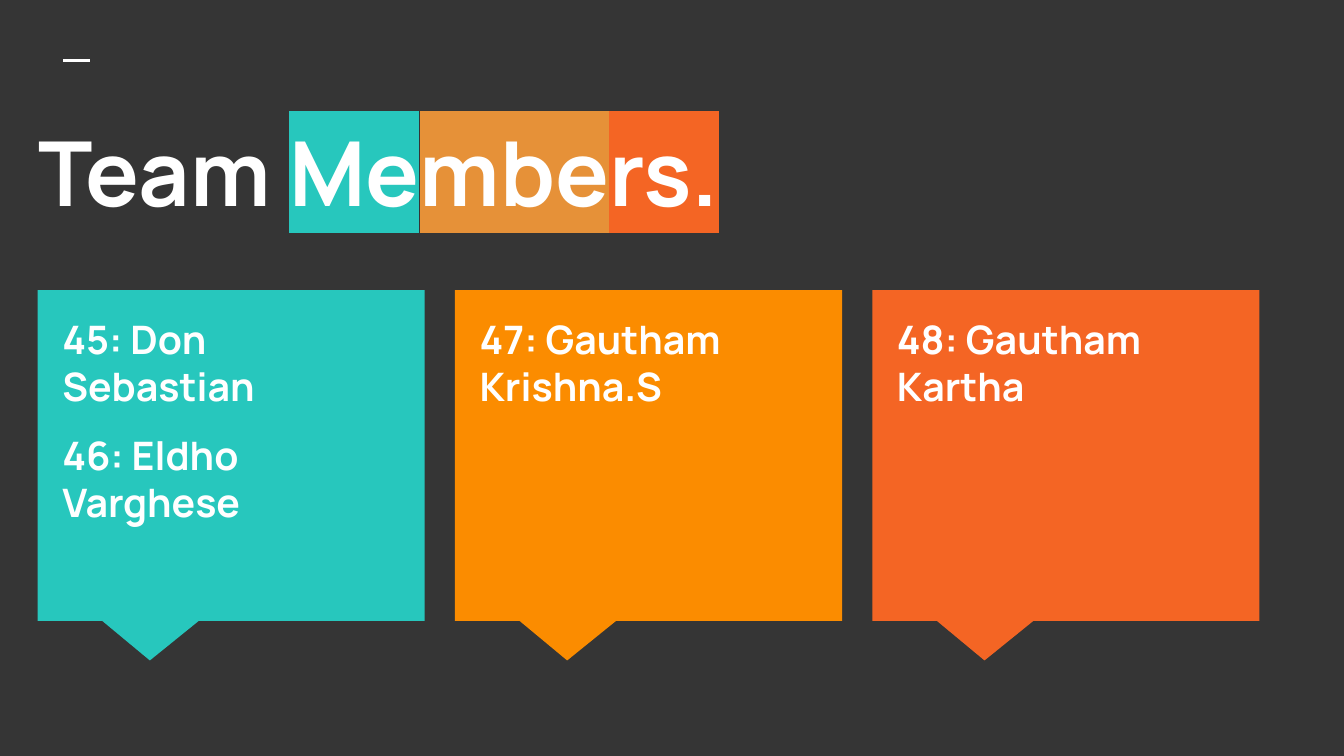
"""Build the team members slide: a highlighted title above three callout cards."""
from dataclasses import dataclass

from lxml.etree import SubElement
from pptx import Presentation
from pptx.dml.color import RGBColor
from pptx.enum.shapes import MSO_CONNECTOR, MSO_SHAPE
from pptx.enum.text import MSO_ANCHOR
from pptx.oxml.ns import qn
from pptx.util import Inches, Pt


@dataclass(frozen=True)
class Theme:
    """Colours, type and sizes used on the slide."""

    background: str = "353535"
    text: str = "FFFFFF"
    teal: str = "27C7BD"
    amber: str = "E69138"
    orange: str = "FB8C00"
    red: str = "F46524"
    font: str = "Manrope"
    title_size: int = 48
    card_size: int = 21
    paragraph_gap: int = 12


@dataclass(frozen=True)
class Grid:
    """Card columns and the text area inside each card, in inches."""

    left: float = 0.28
    last: float = 6.49
    columns: int = 3
    top: float = 2.16
    width: float = 2.88
    height: float = 2.46
    text_width: float = 2.71
    text_height: float = 2.19

    def column(self, index):
        """Return the left edge of a card column."""
        return self.left + index * (self.last - self.left) / (self.columns - 1)

    def inset(self):
        """Return the gap between a card's edge and its text box."""
        return (self.width - self.text_width) / 2


THEME = Theme()
GRID = Grid()

TITLE = [("Team ", None), ("Me", THEME.teal), ("mbe", THEME.amber), ("rs.", THEME.red)]
CARDS = [
    (THEME.teal, ["45: Don Sebastian", "46: Eldho Varghese"]),
    (THEME.orange, ["47: Gautham Krishna.S"]),
    (THEME.red, ["48: Gautham Kartha"]),
]


def rgb(value):
    """Turn a hex string into a colour."""
    return RGBColor.from_string(value)


def add_run(p, text, size, highlight=None):
    """Add a bold run, optionally on a highlight colour."""
    r = p.add_run()
    r.text = text
    r.font.size = Pt(size)
    r.font.bold = True
    r.font.color.rgb = rgb(THEME.text)
    if highlight:
        mark = SubElement(r.font._element, qn("a:highlight"))
        SubElement(mark, qn("a:srgbClr"), val=highlight)
    r.font.name = THEME.font


def add_text(s, box, paragraphs, size, gap=0):
    """Add a wrapped text box from paragraphs of (text, highlight) runs."""
    tf = s.shapes.add_textbox(*map(Inches, box)).text_frame
    tf.word_wrap = True
    tf.vertical_anchor = MSO_ANCHOR.TOP
    tf.margin_left = tf.margin_right = tf.margin_top = tf.margin_bottom = Inches(0.1)
    for i, runs in enumerate(paragraphs):
        p = tf.add_paragraph() if i else tf.paragraphs[0]
        p.space_before = Pt(gap if i else 0)
        for text, highlight in runs:
            add_run(p, text, size, highlight)


def add_callout(s, left, color):
    """Add a flat callout whose pointer hangs below its lower edge."""
    box = (left, GRID.top, GRID.width, GRID.height)
    sp = s.shapes.add_shape(MSO_SHAPE.RECTANGULAR_CALLOUT, *map(Inches, box))
    sp.adjustments[0], sp.adjustments[1] = -0.21, 0.62
    sp.shadow.inherit = False
    sp.fill.solid()
    sp.fill.fore_color.rgb = rgb(color)
    sp.line.fill.background()


def add_card(s, index, color, names):
    """Add one callout and the names on it."""
    left, inset = GRID.column(index), GRID.inset()
    add_callout(s, left, color)
    box = (left + inset, GRID.top + inset, GRID.text_width, GRID.text_height)
    add_text(s, box, [[(name, None)] for name in names],
             THEME.card_size, gap=THEME.paragraph_gap)


def add_dash(s, left, right, y):
    """Add the short horizontal accent line."""
    ends = map(Inches, (left, y, right, y))
    line = s.shapes.add_connector(MSO_CONNECTOR.STRAIGHT, *ends)
    line.line.color.rgb = rgb(THEME.text)
    line.line.width = Pt(1.5)
    SubElement(line._element.spPr, qn("a:effectLst"))


def main():
    """Build and save the slide."""
    prs = Presentation()
    prs.slide_width = Inches(10)
    prs.slide_height = prs.slide_width * 9 // 16
    s = prs.slides.add_slide(prs.slide_layouts[6])
    s.background.fill.solid()
    s.background.fill.fore_color.rgb = rgb(THEME.background)
    add_dash(s, 0.47, 0.67, 0.45)
    add_text(s, (0.19, 0.77, 9.43, 1.12), [TITLE], THEME.title_size)
    for index, (color, names) in enumerate(CARDS):
        add_card(s, index, color, names)
    prs.save("out.pptx")


if __name__ == "__main__":
    main()
